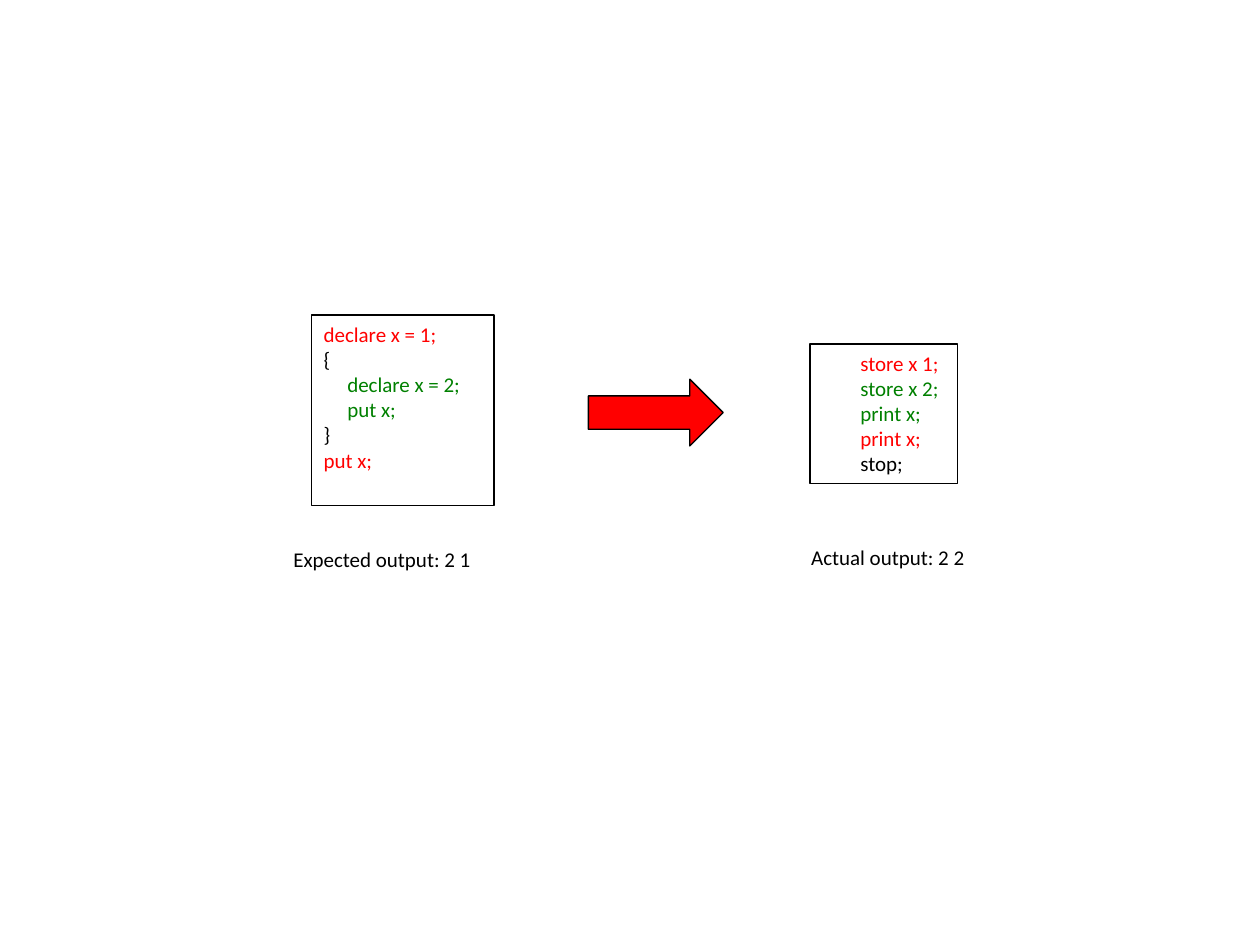
from pptx import Presentation
from pptx.dml.color import RGBColor
from pptx.enum.shapes import MSO_SHAPE
from pptx.enum.text import MSO_ANCHOR, PP_ALIGN
from pptx.util import Inches, Pt

RECTANGLE = MSO_SHAPE.RECTANGLE
RIGHT_ARROW = MSO_SHAPE.RIGHT_ARROW
TOP = MSO_ANCHOR.TOP
LEFT = PP_ALIGN.LEFT

COLORS = {"outer": "FF0000", "inner": "008000", "plain": "000000", "arrow": "FF0000"}
FONT = {"name": "Calibri", "size": Pt(12)}
FRAME = {"word_wrap": True, "vertical_anchor": TOP}

SOURCE_CODE = [
    ("declare x = 1;", "outer"),
    ("{", "plain"),
    ("     declare x = 2;", "inner"),
    ("     put x;", "inner"),
    ("}", "plain"),
    ("put x;", "outer"),
]
TARGET_CODE = [
    ("        store x 1;", "outer"),
    ("        store x 2;", "inner"),
    ("        print x;", "inner"),
    ("        print x;", "outer"),
    ("        stop;", "plain"),
]


class SlideBuilder:
    """Draws code boxes, arrows and captions on one slide in a shared style."""

    def __init__(self, slide):
        self.slide = slide

    def color(self, key):
        return RGBColor.from_string(COLORS[key])

    def fill_text(self, frame, lines):
        for key, value in FRAME.items():
            setattr(frame, key, value)
        for index, (wording, color) in enumerate(lines):
            paragraph = frame.add_paragraph() if index else frame.paragraphs[0]
            paragraph.alignment = LEFT
            run = paragraph.add_run()
            run.text = wording
            for key, value in FONT.items():
                setattr(run.font, key, value)
            run.font.color.rgb = self.color(color)

    def outlined(self, kind, place):
        outline = self.slide.shapes.add_shape(kind, *map(Inches, place))
        outline.shadow.inherit = False
        outline.line.color.rgb = self.color("plain")
        outline.line.width = Pt(0.75)
        return outline

    def code_box(self, place, lines):
        box = self.outlined(RECTANGLE, place)
        box.fill.background()
        self.fill_text(box.text_frame, lines)

    def arrow(self, place):
        arrow = self.outlined(RIGHT_ARROW, place)
        arrow.fill.solid()
        arrow.fill.fore_color.rgb = self.color("arrow")

    def caption(self, place, wording):
        caption = self.slide.shapes.add_textbox(*map(Inches, place))
        self.fill_text(caption.text_frame, [(wording, "plain")])


def main():
    presentation = Presentation()
    presentation.slide_width, presentation.slide_height = Inches(10), Inches(7.5)
    blank_layout = presentation.slide_layouts[6]
    builder = SlideBuilder(presentation.slides.add_slide(blank_layout))
    builder.code_box((2.47, 2.5, 1.45, 1.51), SOURCE_CODE)
    builder.code_box((6.43, 2.73, 1.17, 1.11), TARGET_CODE)
    builder.arrow((4.67, 3.01, 1.07, 0.53))
    builder.caption((2.23, 4.29, 1.73, 0.3), "Expected output: 2 1")
    builder.caption((6.34, 4.27, 1.5, 0.3), "Actual output: 2 2")
    presentation.save("out.pptx")


if __name__ == "__main__":
    main()
